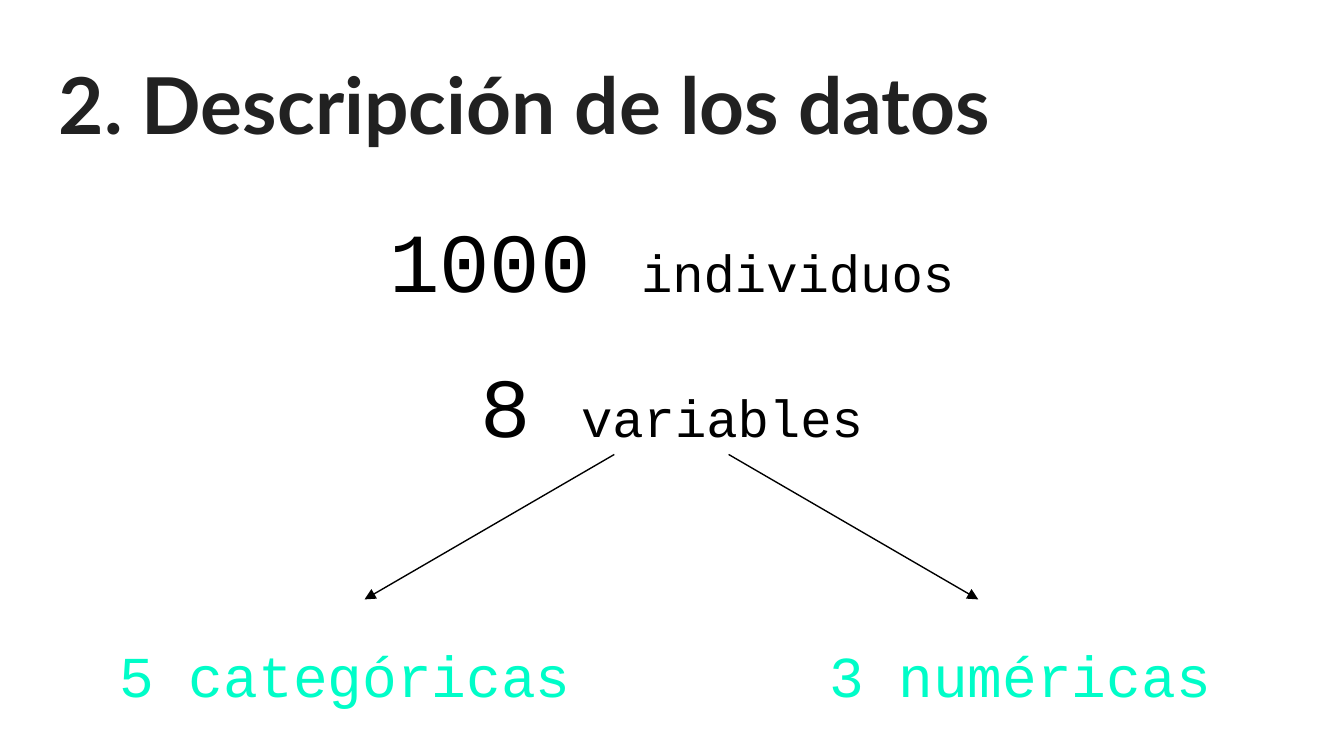
from typing import NamedTuple

from lxml.etree import SubElement as Sub
from pptx import Presentation
from pptx.dml.color import RGBColor
from pptx.enum.shapes import MSO_CONNECTOR as Conn
from pptx.enum.text import MSO_ANCHOR as Anchor, PP_ALIGN as Align
from pptx.oxml.ns import qn
from pptx.slide import Slide
from pptx.util import Cm, Pt

INK = "000000"
MINT = "00FDC8"
MONO = "Courier New"


class Run(NamedTuple):
    text: str
    size: float
    color: str = INK
    font: str = MONO
    bold: bool = False


class Para(NamedTuple):
    runs: list[Run]
    align: Align = Align.LEFT
    lead: float = 1.0
    gap: float = 0


class Box(NamedTuple):
    left: float
    top: float
    width: float
    height: float
    paras: list[Para]


def tint(code: str) -> RGBColor:
    return RGBColor.from_string(code)


def add_box(slide: Slide, box: Box) -> None:
    shape = slide.shapes.add_textbox(*(Cm(v) for v in box[:4]))
    frame = shape.text_frame
    frame.word_wrap = True
    frame.vertical_anchor = Anchor.TOP
    frame.margin_left = frame.margin_right = Cm(0.25)
    frame.margin_top = frame.margin_bottom = Cm(0.25)
    for i, item in enumerate(box.paras):
        para = frame.add_paragraph() if i else frame.paragraphs[0]
        para.alignment = item.align
        para.line_spacing = item.lead
        para.space_before = para.space_after = Pt(item.gap)
        for part in item.runs:
            run = para.add_run()
            run.text = part.text
            font = run.font
            font.name, font.size, font.bold = part.font, Pt(part.size), part.bold
            font.color.rgb = tint(part.color)


def add_arrow(slide: Slide, x1: float, y1: float, x2: float, y2: float) -> None:
    ends = (Cm(v) for v in (x1, y1, x2, y2))
    arrow = slide.shapes.add_connector(Conn.STRAIGHT, *ends)
    arrow.line.width = Pt(0.75)
    arrow.line.color.rgb = tint(INK)
    Sub(arrow.line._get_or_add_ln(), qn("a:tailEnd"), type="triangle")
    Sub(arrow._element.spPr, qn("a:effectLst"))


def count(number: str, noun: str, gap: float = 0) -> Para:
    """A centred line with a large number and a smaller noun."""
    return Para([Run(number + " ", 45), Run(noun, 28)], Align.CENTER, 1.15, gap)


def kind(text: str) -> list[Para]:
    """The label of one kind of variable."""
    return [Para([Run(text, 31, MINT)])]


TITLE = Run("2. Descripción de los datos", 42, "212121", "Lato", True)
BOXES = [
    Box(0.86, 0.81, 23.67, 2.24, [Para([TITLE])]),
    Box(0.86, 3.4, 23.67, 10.49,
        [count("1000", "individuos"), count("8", "variables", 16)]),
    Box(2.01, 11.84, 9.98, 1.73, kind("5 categóricas")),
    Box(15.42, 11.84, 8.05, 1.73, kind("3 numéricas")),
]
MID = 12.69


def main() -> None:
    deck = Presentation()
    deck.slide_width, deck.slide_height = Cm(25.4), Cm(14.29)
    slide = deck.slides.add_slide(deck.slide_layouts[6])
    for box in BOXES:
        add_box(slide, box)
    for side in (-1, 1):
        add_arrow(slide, MID + side * 1.08, 8.59, MID + side * 5.8, 11.33)
    deck.save("out.pptx")


if __name__ == "__main__":
    main()
